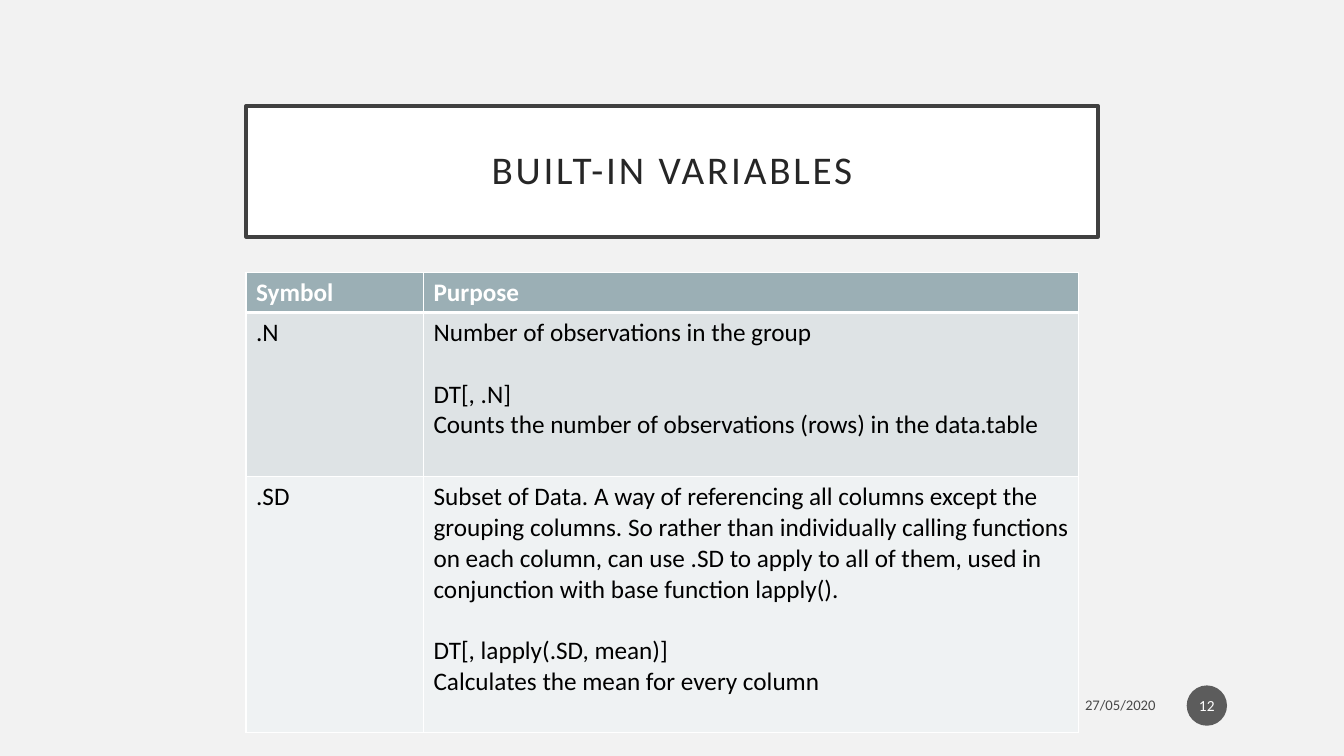
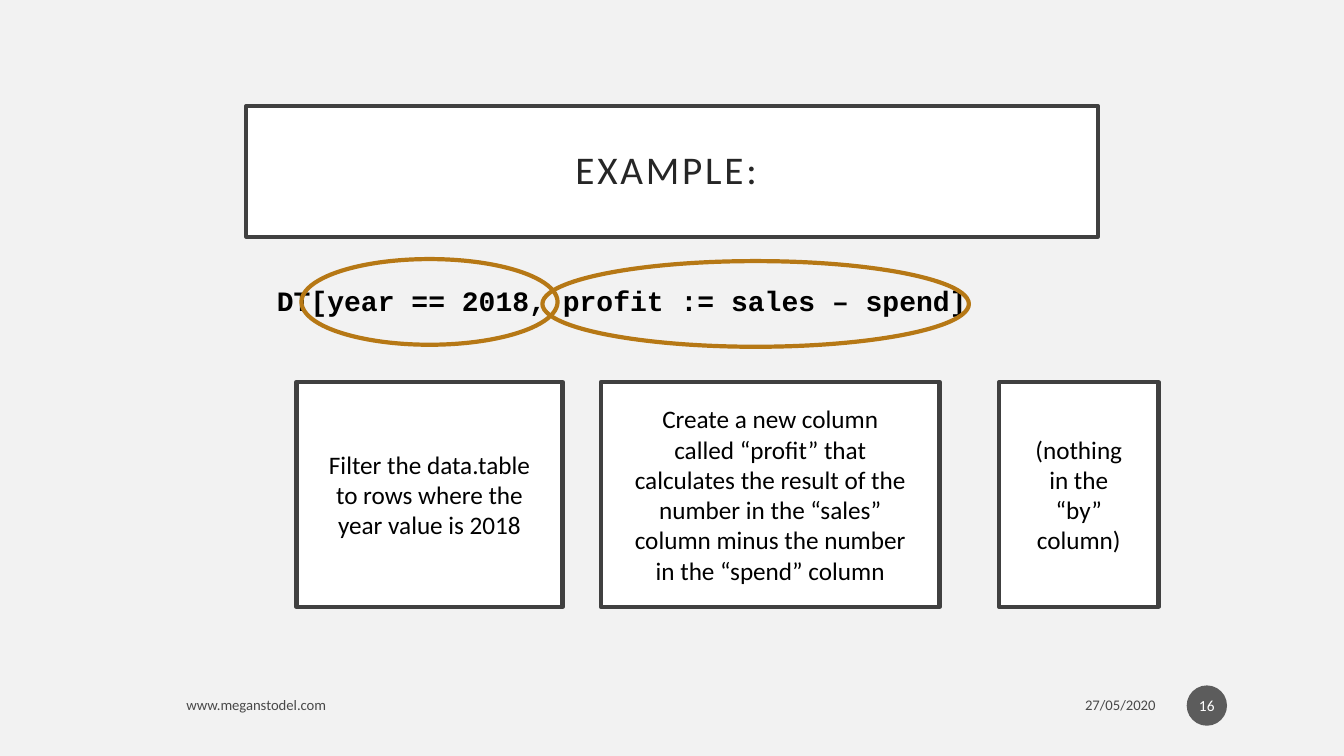
from lxml import etree
from pptx import Presentation
from pptx.dml.color import RGBColor
from pptx.enum.shapes import MSO_SHAPE
from pptx.enum.text import MSO_ANCHOR, PP_ALIGN
from pptx.oxml.ns import qn
from pptx.util import Inches, Pt

RECT, OVAL = MSO_SHAPE.RECTANGLE, MSO_SHAPE.OVAL
LEFT, CENTER, RIGHT = PP_ALIGN.LEFT, PP_ALIGN.CENTER, PP_ALIGN.RIGHT
MIDDLE, TOP = MSO_ANCHOR.MIDDLE, MSO_ANCHOR.TOP

BACKGROUND = RGBColor(0xF2, 0xF2, 0xF2)
WHITE = RGBColor(0xFF, 0xFF, 0xFF)
BLACK = RGBColor(0, 0, 0)
FRAME = RGBColor(0x40, 0x40, 0x40)
TITLE_TEXT = RGBColor(0x26, 0x26, 0x26)
BADGE = RGBColor(0x1D, 0x1D, 0x1D)
HIGHLIGHT = RGBColor(0xB6, 0x78, 0x15)
HEADER_FILL = RGBColor(0x9B, 0xAF, 0xB5)
BAND_FILLS = [RGBColor(0xDE, 0xE3, 0xE5), RGBColor(0xEF, 0xF2, 0xF3)]

BODY_FONT, CODE_FONT = "Calibri", "Courier New"
DATE = "27/05/2020"
SITE = "www.meganstodel.com"
CONTENT_LEFT = 2.44

# Each cell is a list of paragraphs; CODE_LINE is the one set off by a gap.
VARIABLES = [
    (["Symbol"], ["Purpose"]),
    ([".N"], ["Number of observations in the group",
              "DT[, .N]",
              "Counts the number of observations (rows) in the data.table"]),
    ([".SD"], ["Subset of Data. A way of referencing all columns except the grouping "
               "columns. So rather than individually calling functions on each column, "
               "can use .SD to apply to all of them, used in conjunction with base "
               "function lapply().",
               "DT[, lapply(.SD, mean)]",
               "Calculates the mean for every column"]),
]
CODE_LINE = 1
COLUMN_WIDTHS = [1.76, 6.5]
ROW_HEIGHTS = [0.4, 1.63, 2.54]

CODE = "DT[year == 2018, profit := sales – spend]"
CODE_RINGS = [(2.99, 2.57, 2.54, 0.85), (5.38, 2.59, 4.23, 0.85)]
EXPLANATIONS = [  # left, width, text
    (2.94, 2.64, "Filter the data.table to rows where the year value is 2018"),
    (5.96, 3.36, "Create a new column called “profit” that calculates the result of the "
                 "number in the “sales” column minus the number in the “spend” column"),
    (9.91, 1.58, "(nothing in the “by” column)"),
]
BOX_TOP, BOX_HEIGHT = 3.79, 2.23


def set_alpha(element, percent):
    for color in element.iter(qn("a:srgbClr")):
        etree.SubElement(color, qn("a:alpha")).set("val", str(percent * 1000))


def style(p, size, color, align=LEFT, name=BODY_FONT, bold=False):
    p.alignment = align
    p.font.size, p.font.name, p.font.bold = Pt(size), name, bold
    p.font.color.rgb = color


def write(shape, text, size, color, align=CENTER, anchor=MIDDLE, inset=(0.1, 0.05), **font):
    tf = shape.text_frame
    tf.word_wrap = True
    tf.vertical_anchor = anchor
    tf.margin_left = tf.margin_right = Inches(inset[0])
    tf.margin_top = tf.margin_bottom = Inches(inset[1])
    p = tf.paragraphs[0]
    p.text = text
    style(p, size, color, align, **font)
    return p


def add_figure(s, kind, box, fill=None, line=None, width=3):
    sp = s.shapes.add_shape(kind, *map(Inches, box))
    sp.shadow.inherit = False
    if fill is None:
        sp.fill.background()
    else:
        sp.fill.solid()
        sp.fill.fore_color.rgb = fill
    if line is None:
        sp.line.fill.background()
    else:
        sp.line.color.rgb = line
        sp.line.width = Pt(width)
    return sp


def add_text(s, box, text, size, align, **options):
    sp = s.shapes.add_textbox(*map(Inches, box))
    return write(sp, text, size, BLACK, align, **options)


def add_footer_text(s, left, width, text, align):
    p = add_text(s, (left, 6.82, width, 0.35), text, 10.5, align)
    set_alpha(p.font.fill._xPr, 70)


def add_slide(prs, title, number):
    """Add a slide with the framed title, the date and the number badge."""
    s = prs.slides.add_slide(prs.slide_layouts[6])
    s.background.fill.solid()
    s.background.fill.fore_color.rgb = BACKGROUND
    frame = add_figure(s, RECT, (CONTENT_LEFT, 1.05, 8.45, 1.3), WHITE, FRAME, 2.5)
    p = write(frame, title, 28, TITLE_TEXT, inset=(0.2, 0.2))
    p.line_spacing = 0.9
    p.runs[0].font._element.set("spc", "200")
    badge = add_figure(s, OVAL, (11.77, 6.8, 0.4, 0.4), BADGE)
    set_alpha(badge.fill._xPr, 70)
    write(badge, str(number), 11, WHITE, inset=(0.02, 0.05))
    add_footer_text(s, 8.55, 3.01, DATE, RIGHT)
    return s


def set_borders(cell, bottom):
    tcPr = cell._tc.get_or_add_tcPr()
    for index, (side, width) in enumerate(
            [("lnL", 1), ("lnR", 1), ("lnT", 1), ("lnB", bottom)]):
        ln = etree.Element(qn("a:" + side), w=str(Pt(width)))
        fill = etree.SubElement(ln, qn("a:solidFill"))
        etree.SubElement(fill, qn("a:srgbClr"), val=str(WHITE))
        tcPr.insert(index, ln)


def fill_cell(cell, lines, row):
    header = row == 0
    cell.fill.solid()
    cell.fill.fore_color.rgb = HEADER_FILL if header else BAND_FILLS[(row - 1) % 2]
    set_borders(cell, 3 if header else 1)
    tf = cell.text_frame
    tf.text = "\n".join(lines)
    for i, p in enumerate(tf.paragraphs):
        style(p, 18, WHITE if header else BLACK, bold=header)
        if i == CODE_LINE:
            p.space_before = Pt(22)


def add_variables(s):
    table = s.shapes.add_table(
        len(VARIABLES), len(COLUMN_WIDTHS), Inches(CONTENT_LEFT), Inches(2.7),
        Inches(sum(COLUMN_WIDTHS)), Inches(sum(ROW_HEIGHTS))).table
    for column, width in zip(table.columns, COLUMN_WIDTHS):
        column.width = Inches(width)
    for r, (height, cells) in enumerate(zip(ROW_HEIGHTS, VARIABLES)):
        table.rows[r].height = Inches(height)
        for c, lines in enumerate(cells):
            fill_cell(table.cell(r, c), lines, r)


def add_example(s):
    add_footer_text(s, 1.75, 6.45, SITE, LEFT)
    add_text(s, (1.01, 2.76, 10.32, 0.44), CODE, 20, CENTER,
             anchor=TOP, name=CODE_FONT, bold=True)
    for box in CODE_RINGS:
        add_figure(s, OVAL, box, line=HIGHLIGHT)
    for left, width, text in EXPLANATIONS:
        sp = add_figure(s, RECT, (left, BOX_TOP, width, BOX_HEIGHT), WHITE, FRAME)
        write(sp, text, 18, BLACK, inset=(0.3, 0.2))


def main():
    prs = Presentation()
    prs.slide_width, prs.slide_height = Inches(13.33), Inches(7.5)
    add_variables(add_slide(prs, "BUILT-IN VARIABLES", 12))
    add_example(add_slide(prs, "EXAMPLE: ", 16))
    prs.save("out.pptx")


if __name__ == "__main__":
    main()
